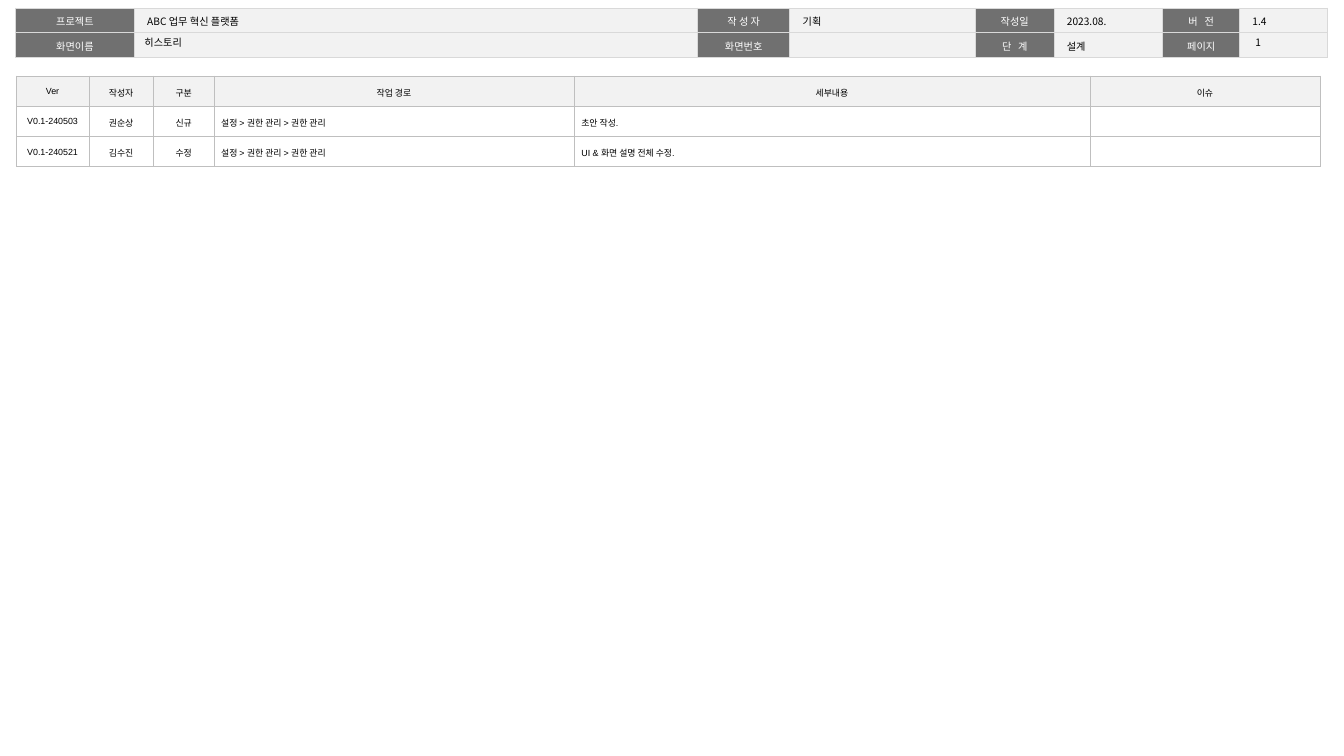
from lxml.etree import SubElement
from pptx import Presentation
from pptx.dml.color import RGBColor
from pptx.enum.text import MSO_ANCHOR, MSO_AUTO_SIZE, PP_ALIGN
from pptx.oxml.ns import qn
from pptx.util import Inches, Pt

WHITE = RGBColor(0xFF, 0xFF, 0xFF)
BLACK = RGBColor(0x00, 0x00, 0x00)
LABEL_GRAY = RGBColor(0x70, 0x70, 0x70)
PALE_GRAY = RGBColor(0xF2, 0xF2, 0xF2)
HEADER_LINE = RGBColor(0xD9, 0xD9, 0xD9)
HISTORY_LINE = RGBColor(0xBF, 0xBF, 0xBF)
KOREAN_FONT = "Noto Sans CJK KR"

HEADER_COLUMNS = [1.3, 6.16, 1.01, 2.03, 0.86, 1.19, 0.84, 0.96]
HEADER_ROWS = [
    ["프로젝트", "ABC 업무 혁신 플랫폼", "작 성 자", "기획", "작성일", "2023.08.", "버 전", "1.4"],
    ["화면이름", "", "화면번호", "", "단 계", "설계", "페이지", ""],
]
SPREAD_LABELS = ("버 전", "단 계")

HISTORY_COLUMNS = [0.79, 0.71, 0.66, 3.94, 5.64, 2.52]
HISTORY_ROWS = [
    ["Ver", "작성자", "구분", "작업 경로", "세부내용", "이슈"],
    ["V0.1-240503", "권순상", "신규", "설정 > 권한 관리 > 권한 관리", "초안 작성.", ""],
    ["V0.1-240521", "김수진", "수정", "설정 > 권한 관리 > 권한 관리", "UI & 화면 설명 전체 수정.", ""],
]


def format_paragraph(paragraph, size, color=BLACK, font_name=KOREAN_FONT,
                     alignment=PP_ALIGN.LEFT, line_spacing=1.0):
    paragraph.alignment = alignment
    paragraph.line_spacing = line_spacing
    font = paragraph.font
    font.size, font.name, font.bold = Pt(size), font_name, False
    font.color.rgb = color
    properties = paragraph._p.pPr.find(qn("a:defRPr"))
    SubElement(properties, qn("a:ea"), typeface=KOREAN_FONT)
    if not paragraph.runs:  # keeps an empty cell as low as its row
        SubElement(paragraph._p, qn("a:endParaRPr"), sz=str(size * 100))


def set_borders(cell, color, width):
    properties = cell._tc.get_or_add_tcPr()
    for side in ("lnL", "lnR", "lnT", "lnB"):
        line = SubElement(properties, qn(f"a:{side}"), w=str(Pt(width)))
        fill = SubElement(line, qn("a:solidFill"))
        SubElement(fill, qn("a:srgbClr"), val=str(color))


def set_margins(target, left, top, right, bottom):
    target.margin_left, target.margin_top = Inches(left), Inches(top)
    target.margin_right, target.margin_bottom = Inches(right), Inches(bottom)


def add_grid(slide, left, top, columns, row_height, rows, format_cell):
    """Add a plain table; format_cell styles each cell by its row and column."""
    table = slide.shapes.add_table(
        len(rows), len(columns), Inches(left), Inches(top),
        Inches(sum(columns)), Inches(row_height * len(rows))).table
    table.first_row = table.horz_banding = False
    for column, width in zip(table.columns, columns):
        column.width = Inches(width)
    for row_index, texts in enumerate(rows):
        table.rows[row_index].height = Inches(row_height)
        for column_index, text in enumerate(texts):
            cell = table.cell(row_index, column_index)
            cell.text = text
            format_cell(cell, row_index, column_index)


def fill_cell(cell, color):
    cell.fill.solid()
    cell.fill.fore_color.rgb = color


def format_header_cell(cell, row, column):
    is_label = column % 2 == 0
    set_borders(cell, HEADER_LINE, 1)
    fill_cell(cell, LABEL_GRAY if is_label else PALE_GRAY)
    set_margins(cell, 0.14, 0.05, 0.14, 0.05)
    paragraph = cell.text_frame.paragraphs[0]
    format_paragraph(paragraph, 8, WHITE if is_label else BLACK, line_spacing=1.05,
                     alignment=PP_ALIGN.CENTER if is_label else PP_ALIGN.LEFT)
    if cell.text in SPREAD_LABELS:
        paragraph.runs[0]._r.get_or_add_rPr().set("spc", "180")


def format_history_cell(cell, row, column):
    is_centered = row == 0 or column < 3
    set_borders(cell, HISTORY_LINE, 0.25)
    fill_cell(cell, PALE_GRAY if row == 0 else WHITE)
    set_margins(cell, 0.08, 0.04, 0.08, 0.08)
    cell.vertical_anchor = MSO_ANCHOR.MIDDLE
    format_paragraph(cell.text_frame.paragraphs[0], 7, font_name="Arial", line_spacing=1.5,
                     alignment=PP_ALIGN.CENTER if is_centered else PP_ALIGN.LEFT)


def format_header_value(shape, text):
    """Set a value that lies over the second header row."""
    frame = shape.text_frame
    frame.text = text
    frame.word_wrap = True
    frame.auto_size = MSO_AUTO_SIZE.NONE
    frame.vertical_anchor = MSO_ANCHOR.MIDDLE
    set_margins(frame, 0.11, 0.05, 0.11, 0.05)
    format_paragraph(frame.paragraphs[0], 8)


def main():
    presentation = Presentation()
    presentation.slide_width, presentation.slide_height = Inches(14.7), Inches(8.27)
    slide = presentation.slides.add_slide(presentation.slide_layouts[5])

    # Project header
    add_grid(slide, 0.17, 0.09, HEADER_COLUMNS, 0.24, HEADER_ROWS, format_header_cell)

    # Screen name, brought in front of the header
    value_top, value_height = Inches(0.38), Inches(0.16)
    title = slide.shapes.title
    title.left, title.top = Inches(1.47), value_top
    title.width, title.height = Inches(5.42), value_height
    format_header_value(title, "히스토리")
    title._element.getparent().append(title._element)

    # Page number
    page_number = slide.shapes.add_textbox(Inches(13.62), value_top, Inches(0.72), value_height)
    format_header_value(page_number, "1")

    # Revision history
    add_grid(slide, 0.18, 0.83, HISTORY_COLUMNS, 0.33, HISTORY_ROWS, format_history_cell)

    presentation.save("out.pptx")


if __name__ == "__main__":
    main()
